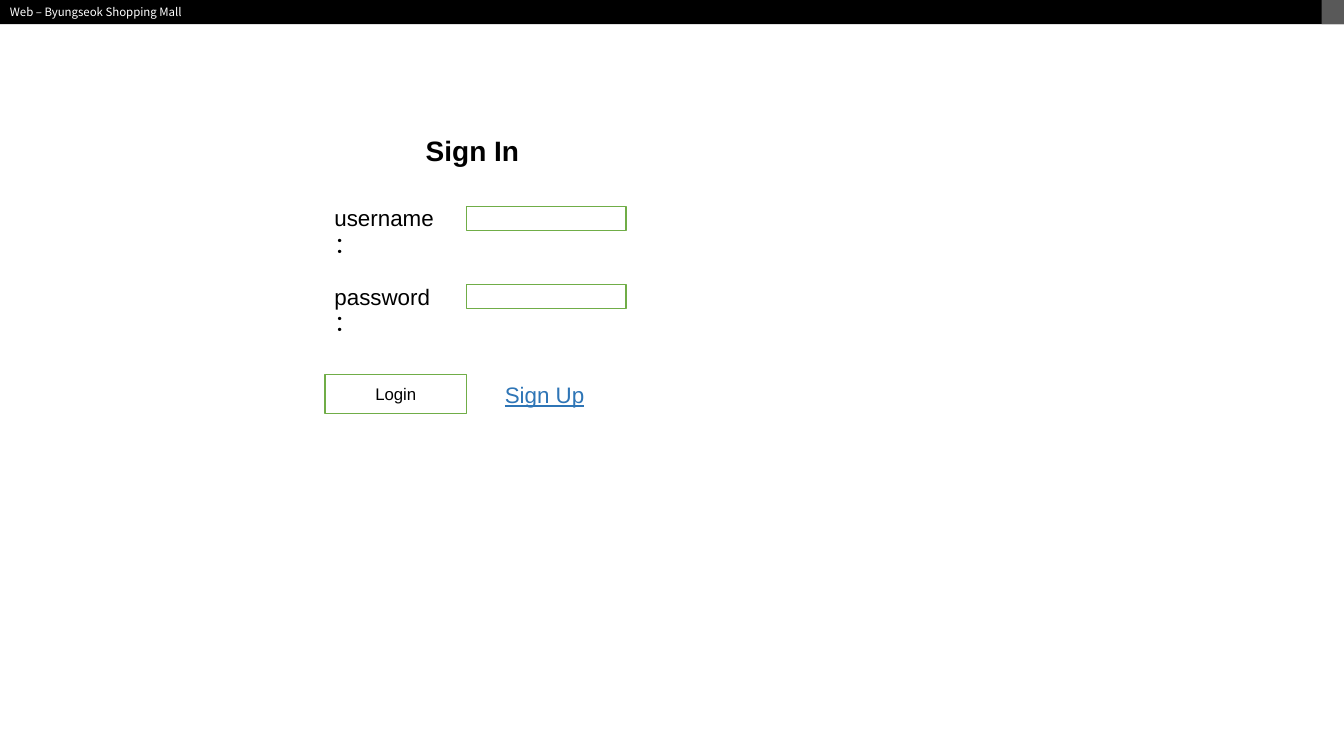
from pptx import Presentation
from pptx import util as u
from pptx.dml.color import RGBColor
from pptx.enum import shapes, text

COLORS = {"black": "000000", "white": "FFFFFF", "gray": "595959",
          "green": "70AD47", "blue": "2E75B6"}


class SignInSlide:
    """Style and drawing methods for the sign-in screen."""

    def __init__(self, presentation):
        self.font = "Arial"
        self.slide = presentation.slides.add_slide(presentation.slide_layouts[6])

    def add_text(self, shape, content, size=16, color="black", font=None,
                 bold=False, underline=False, align=text.PP_ALIGN.LEFT,
                 anchor=text.MSO_ANCHOR.TOP, wrap=True, inset=3.6):
        frame = shape.text_frame
        frame.word_wrap = wrap
        frame.vertical_anchor = anchor
        frame.margin_top = frame.margin_bottom = u.Pt(inset)
        paragraph = frame.paragraphs[0]
        paragraph.alignment = align
        run = paragraph.add_run()
        run.text = content
        run.font.name = font or self.font
        run.font.size = u.Pt(size)
        run.font.bold = bold
        run.font.underline = underline
        run.font.color.rgb = RGBColor.from_string(COLORS[color])

    def rectangle(self, left, top, width, height, fill="white", line=None):
        shape = self.slide.shapes.add_shape(
            shapes.MSO_SHAPE.RECTANGLE, *map(u.Pt, (left, top, width, height)))
        shape.shadow.inherit = False
        shape.fill.solid()
        shape.fill.fore_color.rgb = RGBColor.from_string(COLORS[fill])
        if line:
            shape.line.color.rgb = RGBColor.from_string(COLORS[line])
            shape.line.width = u.Pt(1)
        else:
            shape.line.fill.background()
        return shape

    def label(self, content, left, top, width, height, **style):
        box = self.slide.shapes.add_textbox(*map(u.Pt, (left, top, width, height)))
        self.add_text(box, content, **style)

    def input_row(self, content, top):
        self.label(content, 231.8, top, 98, 26.6)
        self.rectangle(333.4, top + 4.8, 113.8, 17.3, line="green")


def main():
    presentation = Presentation()
    presentation.slide_width = u.Pt(960)
    presentation.slide_height = u.Pt(540)
    screen = SignInSlide(presentation)

    title_bar = screen.rectangle(0, 0, 960, 17.3, fill="black")
    screen.add_text(title_bar, "Web – Byungseok Shopping Mall", size=8.2,
                    color="white", font="Noto Sans CJK KR",
                    anchor=text.MSO_ANCHOR.MIDDLE, inset=0)
    screen.rectangle(944, 0, 16, 17.3, fill="gray")

    screen.label("Sign In", 245, 91.5, 185, 31.5, size=20, bold=True,
                 align=text.PP_ALIGN.CENTER)
    for row, content in enumerate(("username：", "password：")):
        screen.input_row(content, 142.6 + 55.8 * row)

    login = screen.rectangle(232.2, 267.5, 101, 28, line="green")
    screen.add_text(login, "Login", size=12, align=text.PP_ALIGN.CENTER,
                    anchor=text.MSO_ANCHOR.MIDDLE)
    screen.label("Sign Up", 353.5, 268.6, 71.3, 26.6, color="blue",
                 underline=True, wrap=False)

    presentation.save("out.pptx")


if __name__ == "__main__":
    main()
